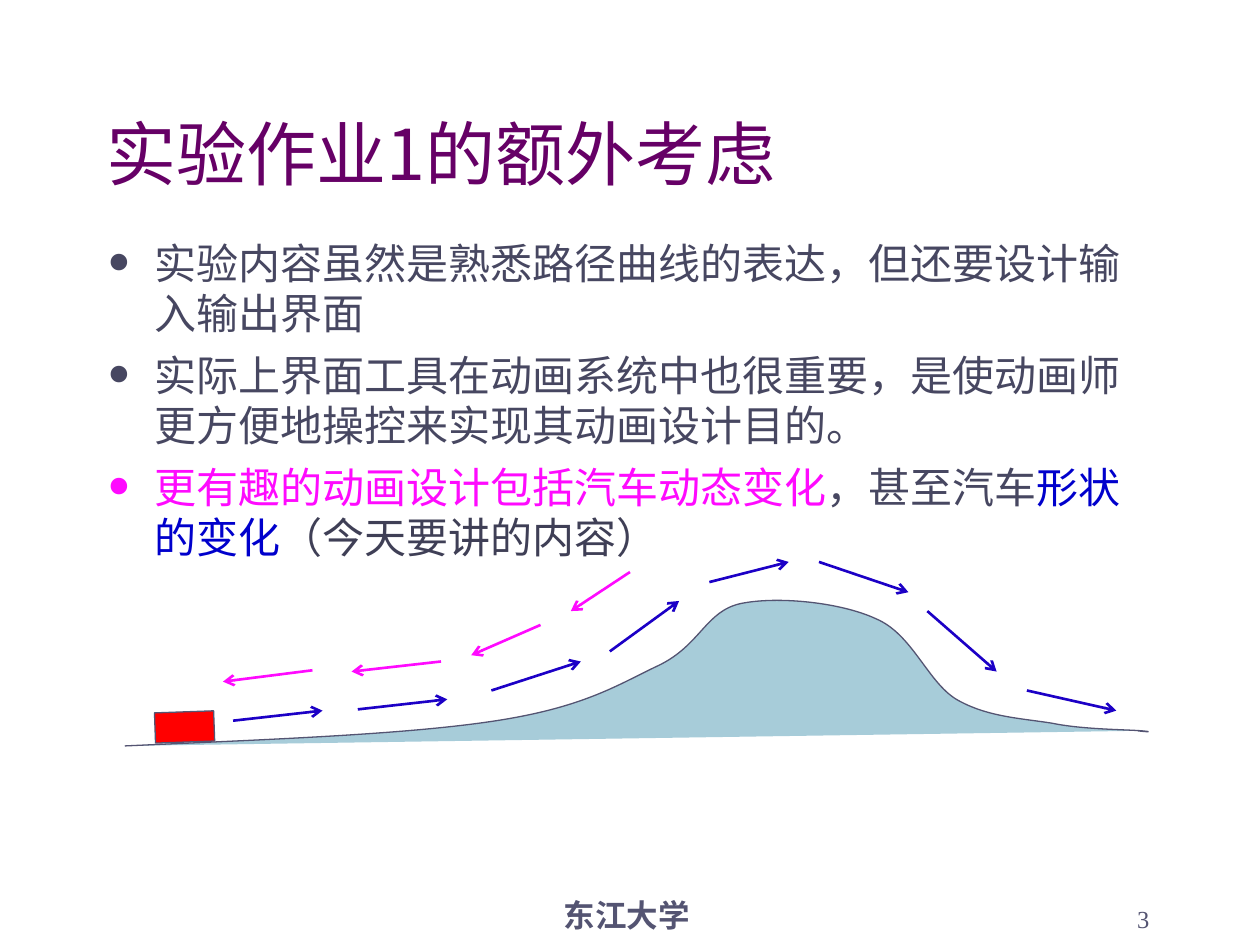
import pptx
import pptx.util
import pptx.dml.color
import pptx.enum.shapes
import pptx.enum.text
import pptx.oxml
import pptx.oxml.ns
from pptx.util import Inches

COLORS = {
    "title": "660066", "body": "474761", "note": "3F3F56", "footer": "545472",
    "magenta": "FF0AFF", "blue": "0000CC", "forward": "1C00C6",
    "hill": "A7CCD9", "car": "FF0000",
}
SANS = "Noto Sans CJK SC"
SERIF = "Times New Roman"
ALIGN = pptx.enum.text.PP_ALIGN
ANCHOR = pptx.enum.text.MSO_ANCHOR


def element(tag, content=""):
    name = tag.split()[0]
    namespace = pptx.oxml.ns.nsdecls("a")
    return pptx.oxml.parse_xml(f"<a:{tag} {namespace}>{content}</a:{name}>")


def add_text(paragraphs, box, size, font=SANS, bold=False, align=ALIGN.LEFT,
             anchor=ANCHOR.BOTTOM, bullets=False):
    frame = slide.shapes.add_textbox(*map(Inches, box)).text_frame
    frame.word_wrap = True
    frame.vertical_anchor = anchor
    for index, runs in enumerate(paragraphs):
        paragraph = frame.add_paragraph() if index else frame.paragraphs[0]
        paragraph.alignment = align
        for text, color in runs:
            run = paragraph.add_run()
            run.text = text
            run.font.size = pptx.util.Pt(size)
            run.font.name = font
            run.font.bold = bold
            run.font.color.rgb = pptx.dml.color.RGBColor.from_string(COLORS[color])
            run.font._element.append(element(f'ea typeface="{SANS}"'))
        if bullets:
            paragraph.line_spacing = pptx.util.Pt(29)
            paragraph.space_before = pptx.util.Pt(6)
            properties = paragraph._p.get_or_add_pPr()
            properties.set("marL", str(Inches(0.38)))
            properties.set("indent", str(Inches(-0.38)))
            bullet_color = COLORS[runs[0][1]]
            properties.append(element("buClr", f'<a:srgbClr val="{bullet_color}"/>'))
            properties.append(element('buSzPct val="165000"'))
            properties.append(element(f'buFont typeface="{SERIF}"'))
            properties.append(element('buChar char="•"'))


presentation = pptx.Presentation()
presentation.slide_width, presentation.slide_height = Inches(10), Inches(7.5)
slide = presentation.slides.add_slide(presentation.slide_layouts[6])

add_text([[("实验作业1的额外考虑", "title")]], (0.75, 0.67, 8.5, 0.92), 40)
add_text([
    [("实验内容虽然是熟悉路径曲线的表达，但还要设计输入输出界面", "body")],
    [("实际上界面工具在动画系统中也很重要，是使动画师更方便地操控来实现其动画设计目的。", "body")],
    [("更有趣的动画设计包括汽车动态变化", "magenta"), ("，甚至汽车", "body"),
     ("形状的变化", "blue"), ("（今天要讲的内容）", "note")],
], (0.75, 1.83, 8.5, 4.75), 24, anchor=ANCHOR.TOP, bullets=True)
add_text([[("东江大学", "footer")]], (3.39, 6.96, 3.17, 0.5), 18,
         font=SERIF, bold=True, align=ALIGN.CENTER)
add_text([[("3", "footer")]], (7.14, 6.96, 2.08, 0.5), 14, font=SERIF, align=ALIGN.RIGHT)

hill_points = [
    (0.99, 5.92),
    (2.11, 5.87), (3.23, 5.83), (3.94, 5.72),
    (4.65, 5.61), (4.91, 5.43), (5.23, 5.28),
    (5.56, 5.12), (5.60, 4.85), (5.88, 4.79),
    (6.17, 4.73), (6.67, 4.78), (6.95, 4.91),
    (7.24, 5.03), (7.36, 5.41), (7.59, 5.55),
    (7.83, 5.69), (8.10, 5.70), (8.35, 5.74),
    (8.59, 5.79), (8.94, 5.79), (9.06, 5.80),
    (9.17, 5.81), (9.10, 5.81), (9.03, 5.80),
]
hill_start, *hill_controls = [(Inches(x), Inches(y)) for x, y in hill_points]
builder = slide.shapes.build_freeform(*hill_start)
builder.add_line_segments(hill_controls, close=False)
hill = builder.convert_to_shape()
lines = hill._element.xpath(".//a:lnTo")
for index in range(0, len(lines), 3):
    curve = element("cubicBezTo")
    lines[index].addprevious(curve)
    for line in lines[index:index + 3]:
        curve.append(line[0])
        line.getparent().remove(line)

car = slide.shapes.add_shape(pptx.enum.shapes.MSO_SHAPE.RECTANGLE,
                             *map(Inches, (1.23, 5.65, 0.47, 0.24)))
car.rotation = 358
for shape, color in ((hill, "hill"), (car, "car")):
    shape.shadow.inherit = False
    shape.fill.solid()
    shape.fill.fore_color.rgb = pptx.dml.color.RGBColor.from_string(COLORS[color])
    shape.line.color.rgb = pptx.dml.color.RGBColor.from_string(COLORS["footer"])
    shape.line.width = pptx.util.Pt(0.75)

arrows = {
    "forward": [
        (1.85, 5.72, 2.56, 5.64), (2.84, 5.63, 3.55, 5.55),
        (3.90, 5.48, 4.61, 5.25), (4.84, 5.17, 5.39, 4.77),
        (5.63, 4.62, 6.26, 4.46), (6.50, 4.46, 7.21, 4.70),
        (7.36, 4.85, 7.91, 5.33), (8.15, 5.48, 8.86, 5.64),
    ],
    "magenta": [
        (5.00, 4.54, 4.53, 4.85), (4.29, 4.96, 3.74, 5.20),
        (3.50, 5.25, 2.79, 5.33), (2.48, 5.32, 1.77, 5.41),
    ],
}
for color, segments in arrows.items():
    for segment in segments:
        arrow = slide.shapes.add_connector(
            pptx.enum.shapes.MSO_CONNECTOR.STRAIGHT, *map(Inches, segment))
        arrow.line.color.rgb = pptx.dml.color.RGBColor.from_string(COLORS[color])
        arrow.line.width = pptx.util.Pt(1.5)
        arrow.line._get_or_add_ln().append(element('tailEnd type="arrow"'))
        arrow._element.spPr.append(element("effectLst"))

presentation.save("out.pptx")
